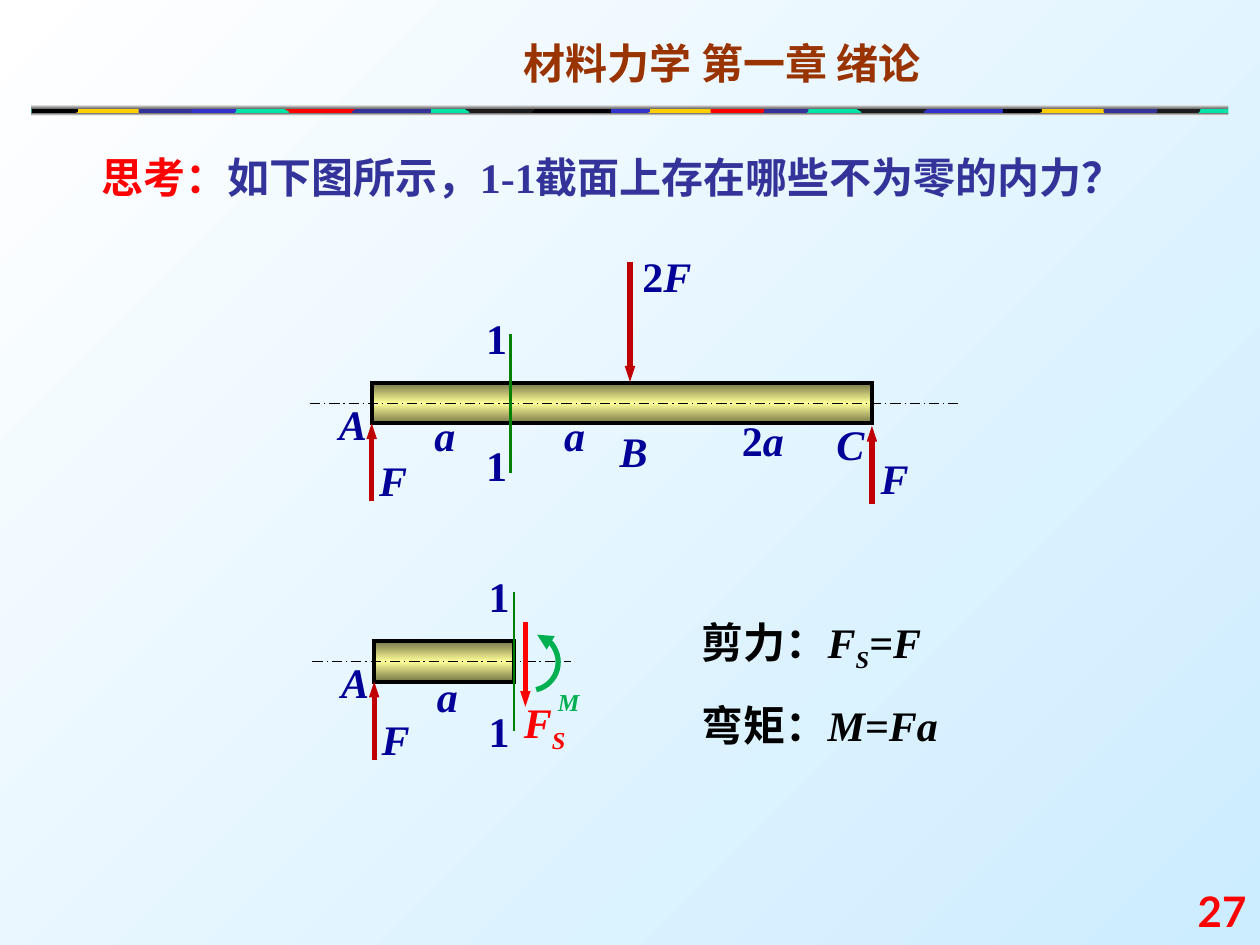
from copy import deepcopy

from lxml.etree import SubElement
from pptx import Presentation
from pptx.dml.color import RGBColor
from pptx.enum.dml import MSO_LINE
from pptx.enum.shapes import MSO_CONNECTOR, MSO_SHAPE
from pptx.enum.text import MSO_ANCHOR, PP_ALIGN
from pptx.oxml.ns import qn
from pptx.util import Inches, Pt

COLORS = {
    "white": "FFFFFF", "sky": "CCECFF", "black": "000000", "charcoal": "1C1C1C",
    "grey": "767676", "mint": "00E4A8", "gold": "FFCF01", "blue": "3333CC",
    "indigo": "333399", "red": "FF0000", "brown": "993300", "navy": "000099",
    "olive": "767647", "straw": "FFFF99", "crimson": "C00000",
    "section": "008000", "moment": "00B050",
}
SERIF, CHINESE, SANS = "Times New Roman", "Noto Sans CJK SC", "Lato"

# Ribbon pieces: width, then edge offsets from bottom to top, left and right
STRAIGHT = (0, 0, 0, 0)
PIECE_KINDS = {
    "wave": (0.6, (0, 0.03, -0.02, 0), STRAIGHT),
    "bay": (0.6, (0, -0.03, 0.01, 0), STRAIGHT),
    "round": (0.31, (0, -0.04, -0.04, 0), (0, 0.04, 0.05, 0)),
    "notch": (0.42, STRAIGHT, (0, -0.01, -0.03, 0)),
    "scoop": (0.59, (0, 0.06, 0.06, 0), STRAIGHT),
    "bulge": (0.39, (0, -0.02, -0.02, 0), (0, 0.01, 0.02, 0)),
}
PIECE_HEIGHTS = (0.91, 0.89, 0.86, 0.84)
PIECES = [
    ("wave", 6.81, "charcoal"), ("bay", 7.36, "blue"), ("round", 9.17, "charcoal"),
    ("notch", 7.96, "black"), ("scoop", 8.21, "gold"), ("bulge", 8.78, "indigo"),
    ("wave", 3.7, "charcoal"), ("bay", 4.25, "black"), ("round", 6.06, "indigo"),
    ("notch", 4.85, "blue"), ("scoop", 5.1, "gold"), ("bulge", 5.66, "red"),
    ("wave", 2.27, "red"), ("bay", 2.82, "indigo"), ("round", 1.52, "blue"),
    ("notch", 0.25, "black"), ("scoop", 0.56, "gold"), ("bulge", 1.12, "indigo"),
]


def rgb(name):
    return RGBColor.from_string(COLORS[name])


def set_gradient(fill, names, angle):
    """Spread the named colours evenly; the angle runs clockwise."""
    fill.gradient()
    fill.gradient_angle = 360 - angle
    first = fill.gradient_stops[0]._gs
    for _ in names[2:]:
        first.addnext(deepcopy(first))
    for index, (stop, name) in enumerate(zip(fill.gradient_stops, names)):
        stop.color.rgb = rgb(name)
        stop.position = index / (len(names) - 1)


def add_text(slide, left, top, width, height, *paragraphs, font=SERIF, color="navy",
             align=PP_ALIGN.LEFT, anchor=MSO_ANCHOR.TOP):
    """Each paragraph is a list of (text, format) runs."""
    box = slide.shapes.add_textbox(Inches(left), Inches(top), Inches(width), Inches(height))
    frame = box.text_frame
    frame.word_wrap = True
    frame.vertical_anchor = anchor
    for index, runs in enumerate(paragraphs):
        paragraph = frame.add_paragraph() if index else frame.paragraphs[0]
        paragraph.alignment = align
        if index:
            paragraph.space_before = Pt(15)
        for text, style in runs:
            run = paragraph.add_run()
            run.text = text
            run.font.size = Pt(24)
            run.font.bold = True
            run.font.italic = style.get("italic", False)
            run.font.name = font
            run.font.color.rgb = rgb(style.get("color", color))
            properties = run.font._element
            SubElement(properties, qn("a:ea")).set("typeface", CHINESE)
            if style.get("subscript"):
                properties.set("baseline", "-25000")


def add_label(slide, left, top, text, number="", width=0.55):
    runs = [(number, {})] if number else []
    if text:
        runs.append((text, {"italic": True}))
    add_text(slide, left, top, width, 0.5, runs)


def add_arrowhead(line, end, width="med"):
    head = SubElement(line._get_or_add_ln(), qn(f"a:{end}End"))
    head.set("type", "triangle")
    head.set("w", width)


def add_line(slide, start, end, color, width, dash=None, arrow=False):
    connector = slide.shapes.add_connector(
        MSO_CONNECTOR.STRAIGHT, *(Inches(value) for value in (*start, *end)))
    connector.line.color.rgb = rgb(color)
    connector.line.width = Pt(width)
    if dash:
        connector.line.dash_style = dash
    if arrow:
        add_arrowhead(connector.line, "tail", "sm")
    SubElement(connector._element.spPr, qn("a:effectLst"))


def add_force(slide, start, end, color="crimson"):
    add_line(slide, start, end, color, 3, arrow=True)


def add_rectangle(slide, left, top, width, height, names, outline=None):
    shape = slide.shapes.add_shape(
        MSO_SHAPE.RECTANGLE, Inches(left), Inches(top), Inches(width), Inches(height))
    shape.shadow.inherit = False
    if len(names) == 1:
        shape.fill.solid()
        shape.fill.fore_color.rgb = rgb(names[0])
    else:
        set_gradient(shape.fill, names, 90)
    if outline:
        shape.line.color.rgb = rgb(outline)
        shape.line.width = Pt(2.25)
        SubElement(shape.line._get_or_add_ln(), qn("a:miter")).set("lim", "800000")
    else:
        shape.line.fill.background()


def add_piece(slide, kind, left, color):
    width, left_edge, right_edge = PIECE_KINDS[kind]
    points = [(left + shift, y) for shift, y in zip(left_edge, PIECE_HEIGHTS)]
    points += [(left + width + shift, y) for shift, y in zip(right_edge, PIECE_HEIGHTS)][::-1]
    points = [(Inches(x), Inches(y)) for x, y in points]
    builder = slide.shapes.build_freeform(*points[0])
    builder.add_line_segments(points[1:], close=True)
    shape = builder.convert_to_shape()
    shape.shadow.inherit = False
    shape.fill.solid()
    shape.fill.fore_color.rgb = rgb(color)
    shape.line.fill.background()


def add_ribbon(slide):
    add_rectangle(slide, 0.25, 0.84, 9.5, 0.07, ["mint"])
    for piece in PIECES:
        add_piece(slide, *piece)
    add_rectangle(slide, 0.25, 0.83, 9.5, 0.03, ["white", "grey"])
    add_rectangle(slide, 0.25, 0.9, 9.5, 0.02, ["grey", "white"])


def add_beam(slide, left, top, length, axis_end, section, span_top, lower_mark_top):
    """Beam with its axis, cut 1-1, and reaction F at A."""
    add_rectangle(slide, left, top, length, 0.32, ["olive", "straw", "olive"], "black")
    axis = top + 0.16
    add_line(slide, (left - 0.49, axis), (axis_end, axis), "black", 0.75,
             MSO_LINE.LONG_DASH_DOT)
    add_line(slide, (section, top - 0.39), (section, top + 0.71), "section", 1.5)
    add_force(slide, (left, top + 0.94), (left, top + 0.32))
    add_label(slide, left - 0.36, top + 0.07, "A")
    add_label(slide, left - 0.04, top + 0.52, "F")
    add_label(slide, left + 0.4, span_top, "a", width=0.47)
    for mark_top in (top - 0.61, lower_mark_top):
        add_label(slide, left + 0.81, mark_top, "", "1", width=0.47)


def add_moment(slide):
    arc = slide.shapes.add_shape(
        MSO_SHAPE.ARC, Inches(3.98), Inches(5.03), Inches(0.45), Inches(0.45))
    arc.shadow.inherit = False
    # An adjustment of 0.6 is one degree
    arc.adjustments[0] = 285 * 0.6
    arc.adjustments[1] = 77 * 0.6
    arc.fill.background()
    arc.line.color.rgb = rgb("moment")
    arc.line.width = Pt(3)
    add_arrowhead(arc.line, "head")
    add_text(slide, 4.33, 5.18, 1.14, 0.56,
             [("M", {"italic": True, "subscript": True})], color="moment")


def main():
    presentation = Presentation()
    presentation.slide_width, presentation.slide_height = Inches(10), Inches(7.5)
    slide = presentation.slides.add_slide(presentation.slide_layouts[6])
    set_gradient(slide.background.fill, ["white", "sky"], 45)

    # Header, page number and question
    add_ribbon(slide)
    add_text(slide, 4.06, 0.25, 3.86, 0.5, [("材料力学 第一章 绪论", {})],
             font=CHINESE, color="brown")
    add_text(slide, 9.32, 6.98, 0.67, 0.5, [("27", {})], font=SANS, color="red",
             align=PP_ALIGN.RIGHT, anchor=MSO_ANCHOR.BOTTOM)
    add_text(slide, 0.71, 1.15, 8.52, 0.5,
             [("思考：", {"color": "red"}),
              ("如下图所示，1-1截面上存在哪些不为零的内力？", {"color": "indigo"})])

    # Whole beam
    add_beam(slide, 2.95, 3.04, 3.97, 7.6, 4.05, 3.2, 3.44)
    add_force(slide, (6.92, 4), (6.92, 3.38))
    add_force(slide, (5, 2.08), (5, 3.03))
    add_label(slide, 6.89, 3.54, "F")
    add_label(slide, 5, 1.94, "F", "2", width=0.87)
    add_label(slide, 4.82, 3.33, "B")
    add_label(slide, 6.54, 3.27, "C")
    add_label(slide, 4.38, 3.2, "a", width=0.47)
    add_label(slide, 5.79, 3.24, "a", "2", width=0.71)

    # Cut part with its internal forces
    add_beam(slide, 2.97, 5.09, 1.11, 4.53, 4.08, 5.27, 5.55)
    add_force(slide, (4.17, 4.94), (4.17, 5.61), "red")
    italic, subscript = {"italic": True}, {"italic": True, "subscript": True}
    add_text(slide, 4.06, 5.48, 1.14, 0.56, [("F", italic), ("S", subscript)], color="red")
    add_moment(slide)

    # Answers
    add_text(slide, 5.47, 4.84, 2.91, 1.17,
             [("剪力：", {}), ("F", italic), ("S", subscript), ("=F", italic)],
             [("弯矩：", {}), ("M=Fa", italic)], color="black")
    presentation.save("out.pptx")


if __name__ == "__main__":
    main()
